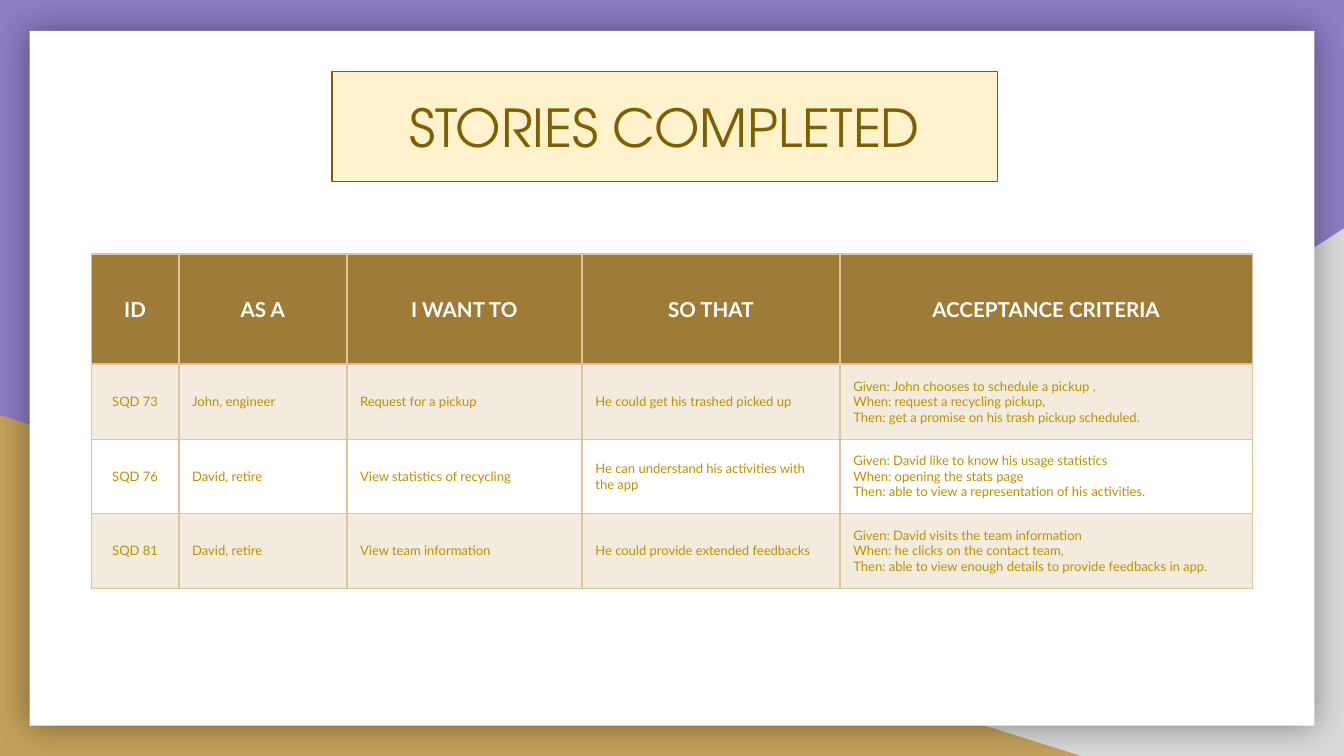
"""Build the slide with the table of completed stories."""
from lxml import etree
from pptx import Presentation
from pptx.dml.color import RGBColor
from pptx.enum import shapes, text
from pptx.oxml import ns
from pptx.util import Inches, Pt

PURPLE = RGBColor(0x8E, 0x7C, 0xC3)
GREY = RGBColor(0xD9, 0xD9, 0xD9)
GOLD = RGBColor(0xC4, 0xA1, 0x5A)
WHITE = RGBColor(0xFF, 0xFF, 0xFF)
CREAM = RGBColor(0xFF, 0xF2, 0xCC)
BROWN = RGBColor(0x7F, 0x60, 0x00)
EDGE = RGBColor(0x7D, 0x5F, 0x02)
HEAD = RGBColor(0x9E, 0x7C, 0x38)
OCHRE = RGBColor(0xBF, 0x90, 0x00)
RULE = RGBColor(0xDB, 0xC6, 0x9B)

STORIES = [
    ["ID", "AS A", "I WANT TO", "SO THAT", "ACCEPTANCE CRITERIA"],
    ["SQD 73", "John, engineer", "Request for a pickup",
     "He could get his trashed picked up",
     "Given: John chooses to schedule a pickup ,\n"
     "When: request a recycling pickup,\n"
     "Then: get a promise on his trash pickup scheduled."],
    ["SQD 76", "David, retire", "View statistics of recycling",
     "He can understand his activities with the app",
     "Given: David like to know his usage statistics\v"
     "When: opening the stats page\n"
     "Then: able to view a representation of his activities."],
    ["SQD 81", "David, retire", "View team information",
     "He could provide extended feedbacks",
     "Given: David visits the team information\n"
     "When: he clicks on the contact team,\n"
     "Then: able to view enough details to provide feedbacks in app."],
]
WIDTHS = [0.65, 1.25, 1.75, 1.92, 3.07]
HEIGHTS = [0.82, 0.56, 0.55, 0.56]


def draw(kind, box, fill):
    shape = slide.shapes.add_shape(kind, *map(Inches, box))
    shape.shadow.inherit = False
    shape.fill.solid()
    shape.fill.fore_color.rgb = fill
    shape.line.fill.background()
    return shape


def style(frame, font, size, color, bold, align):
    for para in frame.paragraphs:
        para.alignment = align
        for run in para.runs:
            run.font.name = font
            run.font.size = Pt(size)
            run.font.bold = bold
            run.font.color.rgb = color
        for gap in para._p.findall(ns.qn("a:br")):
            etree.SubElement(gap, ns.qn("a:rPr"), sz=str(size * 100))


deck = Presentation()
deck.slide_width = Inches(10)
deck.slide_height = Inches(10 * 9 / 16)
slide = deck.slides.add_slide(deck.slide_layouts[6])
slide.background.fill.solid()
slide.background.fill.fore_color.rgb = PURPLE

kinds = shapes.MSO_SHAPE
wedge = draw(kinds.RIGHT_TRIANGLE, (3.92, 1.7, 6.08, 3.93), GREY)
wedge._element.spPr.xfrm.set("flipH", "1")
draw(kinds.RIGHT_TRIANGLE, (0, 3.09, 8.06, 2.54), GOLD)
card = draw(kinds.RECTANGLE, (0.22, 0.23, 9.56, 5.17), WHITE)
effects = card._element.spPr.find(ns.qn("a:effectLst"))
glow = etree.SubElement(effects, ns.qn("a:outerShdw"), blurRad=str(Pt(18)),
                        dist="0", dir="0", algn="ctr", rotWithShape="0")
shade = etree.SubElement(glow, ns.qn("a:srgbClr"), val="000000")
etree.SubElement(shade, ns.qn("a:alpha"), val="40000")

title = draw(kinds.RECTANGLE, (2.47, 0.53, 4.95, 0.82), CREAM)
title.line.color.rgb = EDGE
title.line.width = Pt(0.75)
frame = title.text_frame
frame.word_wrap = True
frame.vertical_anchor = text.MSO_ANCHOR.MIDDLE
frame.margin_left = frame.margin_right = Inches(0.1)
frame.margin_top = frame.margin_bottom = Inches(0.1)
frame.text = "STORIES COMPLETED"
style(frame, "TeX Gyre Adventor", 28, BROWN, False, text.PP_ALIGN.CENTER)

table = slide.shapes.add_table(
    len(HEIGHTS), len(WIDTHS), Inches(0.68), Inches(1.89),
    Inches(sum(WIDTHS)), Inches(sum(HEIGHTS))).table
table.first_row = table.horz_banding = False
for col, width in zip(table.columns, WIDTHS):
    col.width = Inches(width)
for row, height in zip(table.rows, HEIGHTS):
    row.height = Inches(height)

for r, story in enumerate(STORIES):
    for c, words in enumerate(story):
        cell = table.cell(r, c)
        cell.text_frame.text = words
        cell.vertical_anchor = text.MSO_ANCHOR.MIDDLE
        cell.margin_left = cell.margin_right = Inches(0.1)
        cell.margin_top = cell.margin_bottom = Inches(0.1)
        mid = r == 0 or c == 0
        align = text.PP_ALIGN.CENTER if mid else text.PP_ALIGN.LEFT
        if r == 0:
            style(cell.text_frame, "Lato", 11, WHITE, True, align)
        else:
            style(cell.text_frame, "Lato", 7, OCHRE, False, align)
        props = cell._tc.get_or_add_tcPr()
        for side in ("lnL", "lnR", "lnT", "lnB"):
            line = etree.SubElement(props, ns.qn("a:" + side), w=str(Pt(1)))
            solid = etree.SubElement(line, ns.qn("a:solidFill"))
            etree.SubElement(solid, ns.qn("a:srgbClr"), val=str(RULE))
        if r == 2:
            cell.fill.background()
        else:
            cell.fill.solid()
            cell.fill.fore_color.rgb = GOLD if r else HEAD
        if r % 2:
            tint = props.find(ns.qn("a:solidFill"))[0]
            etree.SubElement(tint, ns.qn("a:alpha"), val="20000")
        if r == 3:
            tint = props.find(ns.qn("a:solidFill"))[0]
            tint[0].set("val", "20000")

deck.save("out.pptx")
